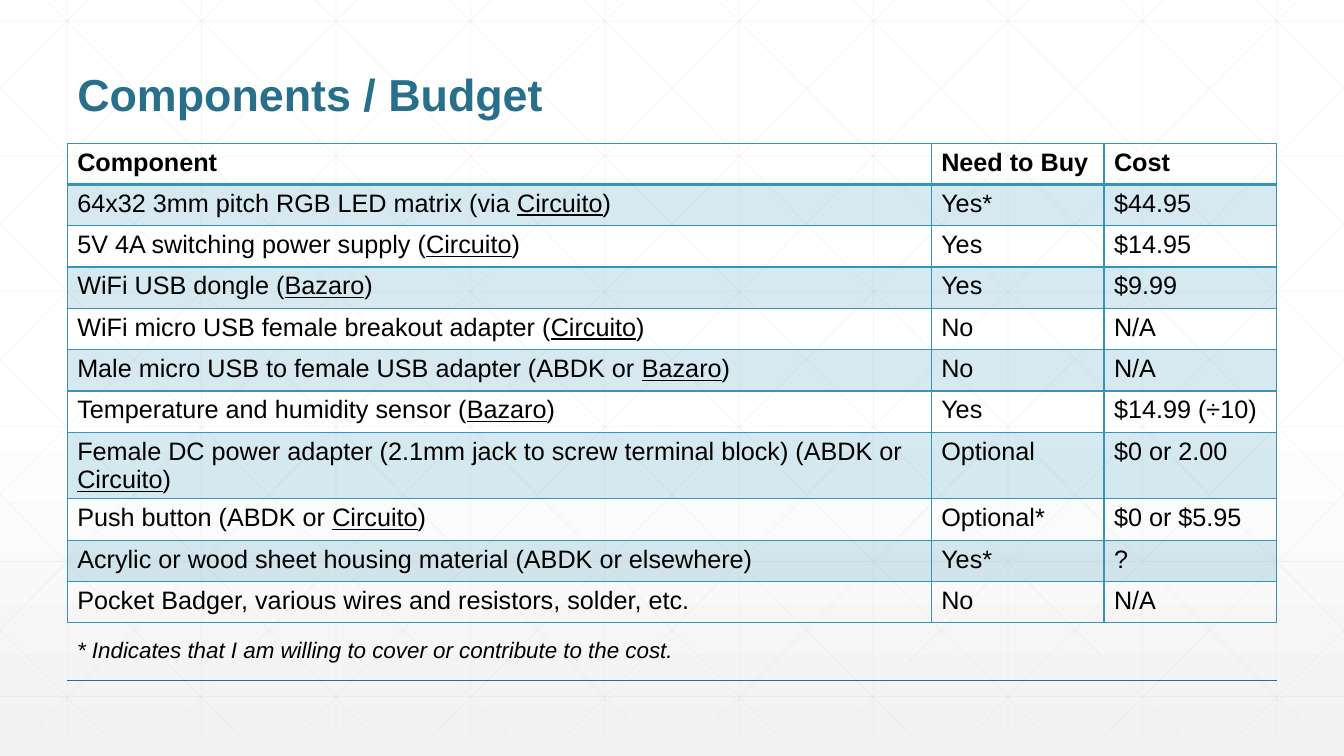
from dataclasses import dataclass

from lxml.etree import SubElement
from pptx import Presentation
from pptx.dml.color import RGBColor as Color
from pptx.enum.shapes import MSO_CONNECTOR as Connector
from pptx.enum.text import MSO_ANCHOR as Anchor, MSO_AUTO_SIZE as AutoSize, PP_ALIGN as Align
from pptx.oxml.ns import qn
from pptx.util import Inches, Pt

WIDTH, HEIGHT = 13.33, 7.5
MARGIN = WIDTH / 20
CONTENT = WIDTH - 2 * MARGIN
GRID_STEP = WIDTH / 10
GRID_BOTTOM = 7.29
ROW = 0.41
TALL_ROW = 0.66
TABLE_TOP = 1.42
COLUMN_SHARES = (5 / 7, 1 / 7, 1 / 7)
NO_STYLE = "{2D5ABB26-0587-4C30-8999-92F81FD0307C}"


@dataclass(frozen=True)
class Theme:
    """Colours, font and type sizes of the slide."""
    font: str = "Arial"
    heading: str = "276F8B"
    accent: str = "3494BA"
    text: str = "000000"
    grid: str = "D9D9D9"
    paper: str = "FFFFFF"
    shade: str = "F2F2F2"
    title_size: int = 32
    table_size: int = 18
    note_size: int = 16
    band_alpha: int = 20
    grid_alpha: int = 25


THEME = Theme()

HEADER = ("Component", "Need to Buy", "Cost")
# Text between bars is underlined.
COMPONENTS = (
    ("64x32 3mm pitch RGB LED matrix (via |Circuito|)", "Yes*", "$44.95"),
    ("5V 4A switching power supply (|Circuito|)", "Yes", "$14.95"),
    ("WiFi USB dongle (|Bazaro|)", "Yes", "$9.99"),
    ("WiFi micro USB female breakout adapter (|Circuito|)", "No", "N/A"),
    ("Male micro USB to female USB adapter (ABDK or |Bazaro|)", "No", "N/A"),
    ("Temperature and humidity sensor (|Bazaro|)", "Yes", "$14.99 (÷10)"),
    ("Female DC power adapter (2.1mm jack to screw terminal block) (ABDK or |Circuito|)",
     "Optional", "$0 or 2.00"),
    ("Push button (ABDK or |Circuito|)", "Optional*", "$0 or $5.95"),
    ("Acrylic or wood sheet housing material (ABDK or elsewhere)", "Yes*", "?"),
    ("Pocket Badger, various wires and resistors, solder, etc.", "No", "N/A"),
)
TALL_ROW_INDEX = 7


def set_alpha(element, percent):
    """Make the RGB colour inside an element partly transparent."""
    colour = next(element.iter(qn("a:srgbClr")))
    SubElement(colour, qn("a:alpha"), val=str(percent * 1000))


def add_runs(paragraph, text, size, colour=THEME.text, bold=False, italic=False):
    """Add text run by run, underlining the parts between bars."""
    for index, part in enumerate(text.split("|")):
        run = paragraph.add_run()
        run.text = part
        font = run.font
        font.name, font.size = THEME.font, Pt(size)
        font.bold, font.italic = bold, italic
        font.underline = index % 2 == 1
        font.color.rgb = Color.from_string(colour)


def add_line(shapes, start, end, colour, width, alpha=100):
    """Draw a straight line between two points given in inches."""
    line = shapes.add_connector(Connector.STRAIGHT, *map(Inches, start + end))
    line.line.color.rgb = Color.from_string(colour)
    line.line.width = Pt(width)
    properties = line._element.spPr
    if alpha < 100:
        set_alpha(properties, alpha)
    SubElement(properties, qn("a:effectLst"))


def paint_background(slide):
    """Fade the background from white to light grey at the bottom."""
    fill = slide.background.fill
    fill.gradient()
    fill.gradient_angle = 270
    stops = ((0.53, THEME.paper), (1, THEME.shade))
    for stop, (position, colour) in zip(fill.gradient_stops, stops):
        stop.position = position
        stop.color.rgb = Color.from_string(colour)


def grid_lines():
    """Yield the ends of the upright, level and diagonal grid lines."""
    for index in range(10):
        x = MARGIN + index * GRID_STEP
        yield (x, 0), (x, GRID_BOTTOM)
    for index in range(6):
        y = 0.21 + 1.34 * index
        yield (0, y), (WIDTH, y)
    run = 7.45 / 7.5
    for index in range(-5, 10):
        origin = 0.25 + index * GRID_STEP + 0.21 * run
        top = max(0, -origin / run)
        bottom = min(GRID_BOTTOM, (WIDTH - origin) / run)
        left, right = origin + top * run, origin + bottom * run
        yield (left, top), (right, bottom)
        yield (WIDTH - left, top), (WIDTH - right, bottom)


def add_grid(slide):
    """Draw the faint grid as one group behind everything else."""
    group = slide.shapes.add_group_shape()
    for start, end in grid_lines():
        add_line(group.shapes, start, end, THEME.grid, 0.5, THEME.grid_alpha)
    slide.shapes._spTree.insert(2, group._element)


def add_title(slide, text):
    """Move, format and fill the title placeholder."""
    title = slide.shapes.title
    title.left, title.top = Inches(MARGIN), Inches(HEIGHT / 30)
    title.width, title.height = Inches(CONTENT), Inches(1)
    frame = title.text_frame
    frame.auto_size, frame.vertical_anchor = AutoSize.NONE, Anchor.BOTTOM
    paragraph = frame.paragraphs[0]
    paragraph.alignment, paragraph.line_spacing = Align.LEFT, 0.9
    add_runs(paragraph, text, THEME.title_size, THEME.heading, bold=True)


def add_borders(cell, top, bottom):
    """Outline a cell, with its top and bottom widths in points."""
    properties = cell._tc.get_or_add_tcPr()
    for side, width in (("L", 1), ("R", 1), ("T", top), ("B", bottom)):
        border = SubElement(properties, qn("a:ln" + side), w=str(Pt(width)))
        fill = SubElement(border, qn("a:solidFill"))
        SubElement(fill, qn("a:srgbClr"), val=THEME.accent)


def fill_cell(cell, text, row):
    """Write one cell and give it its borders and band colour."""
    add_runs(cell.text_frame.paragraphs[0], text, THEME.table_size, bold=row == 0)
    add_borders(cell, 2 if row == 1 else 1, 2 if row == 0 else 1)
    if row % 2:
        cell.fill.solid()
        cell.fill.fore_color.rgb = Color.from_string(THEME.accent)
        set_alpha(cell._tc.tcPr.find(qn("a:solidFill")), THEME.band_alpha)
    else:
        cell.fill.background()


def add_budget_table(slide):
    """Add the table of components and costs."""
    rows = (HEADER,) + COMPONENTS
    height = ROW * (len(rows) - 1) + TALL_ROW
    frame = slide.shapes.add_table(len(rows), len(HEADER), Inches(MARGIN), Inches(TABLE_TOP),
                                   Inches(CONTENT), Inches(height))
    table = frame.table
    table._tbl.tblPr.find(qn("a:tableStyleId")).text = NO_STYLE
    table.horz_banding = False
    for column, share in zip(table.columns, COLUMN_SHARES):
        column.width = Inches(CONTENT * share)
    for row, texts in enumerate(rows):
        table.rows[row].height = Inches(TALL_ROW if row == TALL_ROW_INDEX else ROW)
        for column, text in enumerate(texts):
            fill_cell(table.cell(row, column), text, row)


def add_footnote(slide, text):
    """Add the italic note below the table."""
    box = slide.shapes.add_textbox(Inches(MARGIN), Inches(6.29), Inches(CONTENT), Inches(0.5))
    box.text_frame.word_wrap = True
    paragraph = box.text_frame.paragraphs[0]
    paragraph.line_spacing = 0.9
    add_runs(paragraph, text, THEME.note_size, italic=True)


def main():
    """Build the slide and save it."""
    presentation = Presentation()
    presentation.slide_width, presentation.slide_height = Inches(WIDTH), Inches(HEIGHT)
    slide = presentation.slides.add_slide(presentation.slide_layouts[5])
    paint_background(slide)
    add_grid(slide)
    rule = HEIGHT * 0.9
    add_line(slide.shapes, (MARGIN, rule), (WIDTH - MARGIN, rule), THEME.heading, 1)
    add_title(slide, "Components / Budget")
    add_budget_table(slide)
    add_footnote(slide, "* Indicates that I am willing to cover or contribute to the cost.")
    presentation.save("out.pptx")


main()
